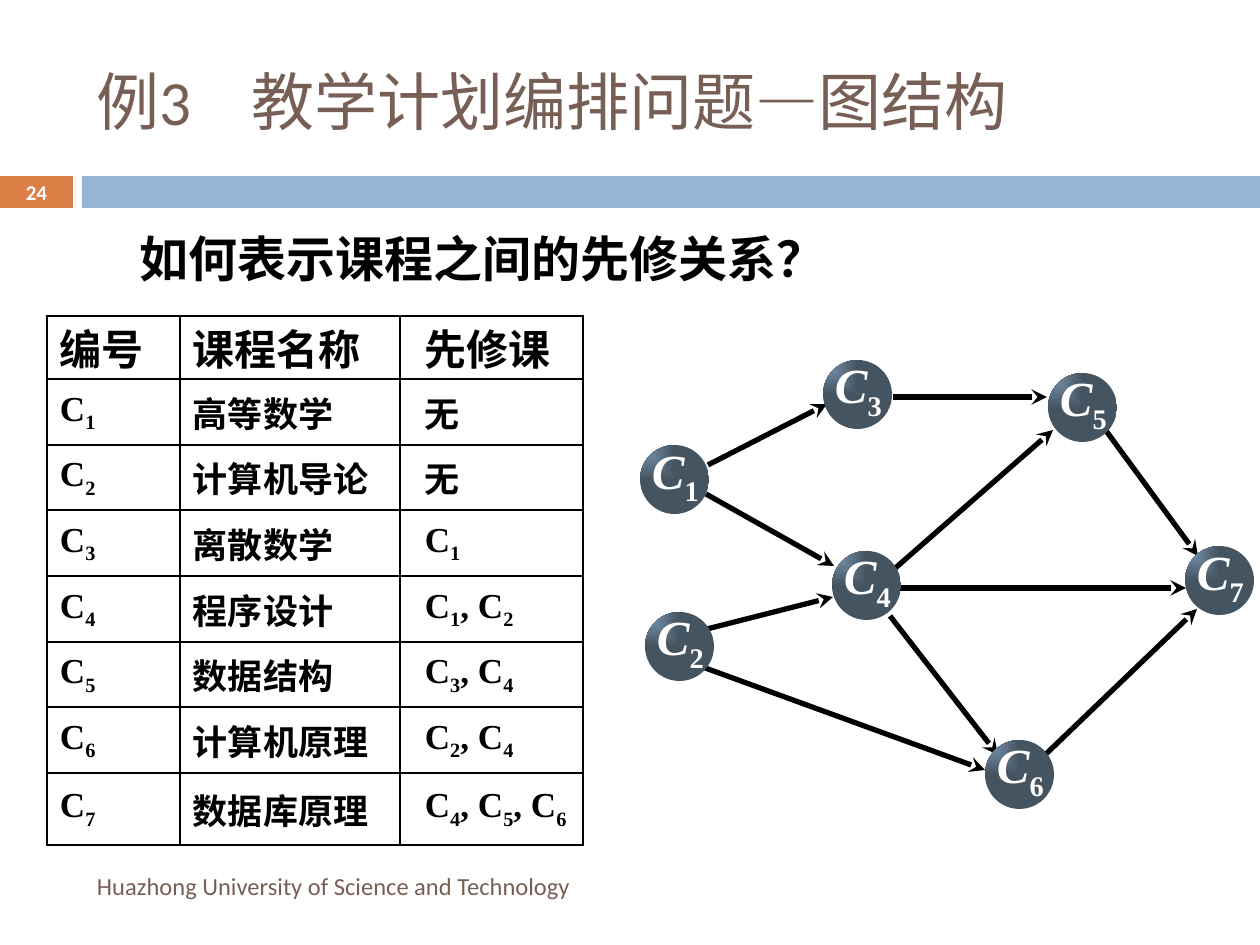
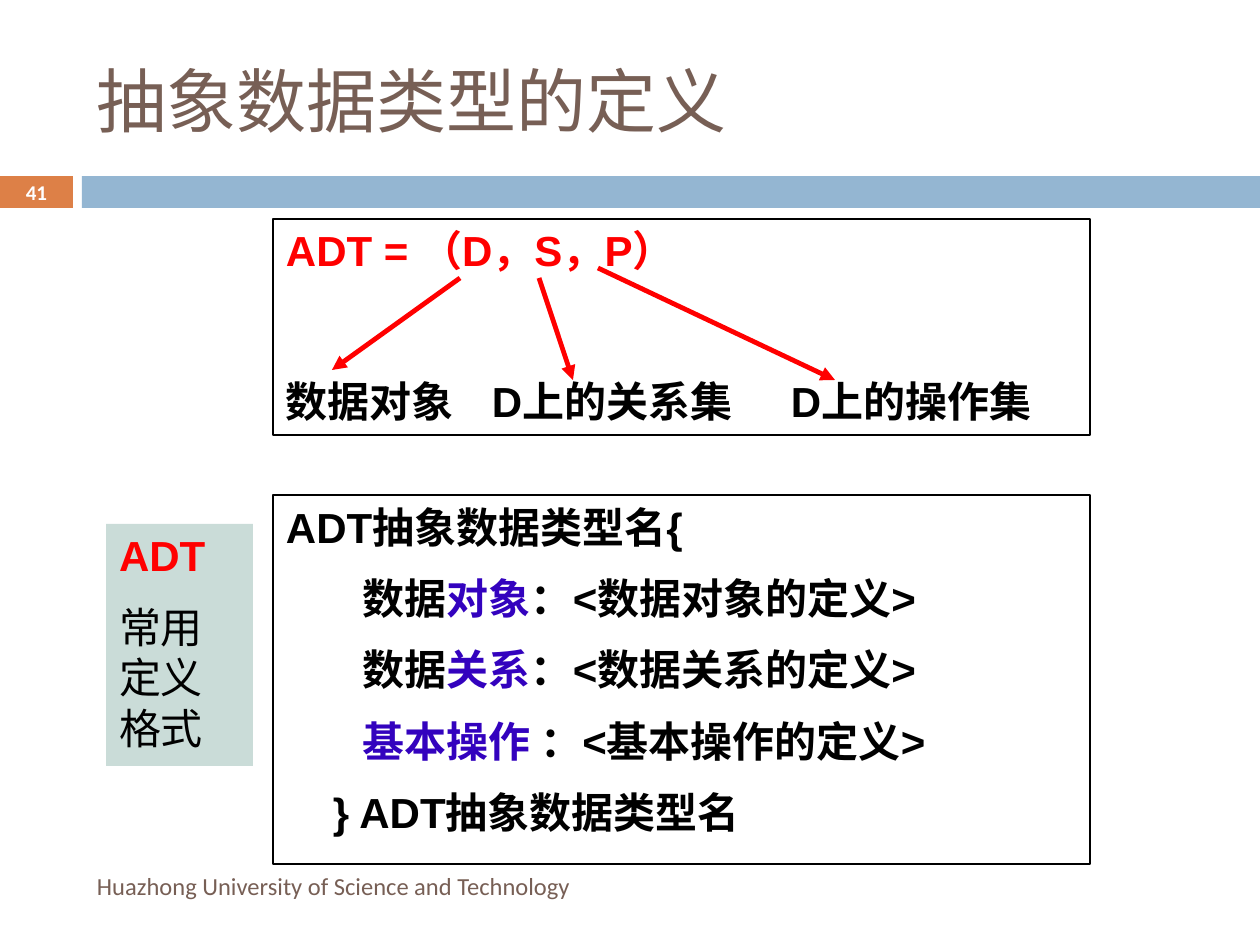
from lxml import etree
from pptx import Presentation
from pptx import util as u
from pptx.dml.color import RGBColor
from pptx.enum import shapes, text
from pptx.oxml.ns import qn

COLORS = {
    "title": "775F55", "orange": "DD8047", "blue": "94B6D2", "black": "000000",
    "white": "FFFFFF", "red": "FF0000", "violet": "3302BE", "mint": "CADCD8",
    "node_light": "7F9DB9", "node_dark": "455461",
}
HEAD, SERIF, SANS = "Calibri", "Times New Roman", "Arial"
FOOTER = "Huazhong University of Science and Technology"
WIDTH, HEIGHT = 1260, 945

# Slide 24: courses and their prerequisites
COURSES = [
    ("编号", "课程名称", "先修课"),
    ("C1", "高等数学", "无"),
    ("C2", "计算机导论", "无"),
    ("C3", "离散数学", "C1"),
    ("C4", "程序设计", "C1, C2"),
    ("C5", "数据结构", "C3, C4"),
    ("C6", "计算机原理", "C2, C4"),
    ("C7", "数据库原理", "C4, C5, C6"),
]
TABLE_AT = (47, 316)
COLUMN_WIDTHS = (133, 220, 183)
COLUMN_INSETS = (13, 13, 25)
ROW_HEIGHTS = (63, 66, 65, 66, 66, 65, 66, 72)

NODE = 69
NODES = {"C1": (640, 445), "C2": (645, 612), "C3": (823, 360), "C4": (832, 551),
         "C5": (1048, 373), "C6": (985, 740), "C7": (1185, 546)}
EDGES = [  # from x, y, to x, y
    (1045, 755, 1197, 609), (1104, 428, 1198, 556), (893, 397, 1047, 397),
    (892, 571, 1053, 430), (890, 616, 998, 755), (896, 588, 1186, 588),
    (708, 465, 827, 404), (697, 665, 985, 770), (707, 629, 833, 597),
    (706, 494, 834, 566),
]

# Slide 41: the abstract data type
TRIPLE = "ADT = （D，S，P）"
TRIPLE_PARTS = "数据对象\tD上的关系集\tD上的操作集"
TRIPLE_ARROWS = [(460, 278, 332, 370), (539, 278, 573, 380), (598, 268, 835, 380)]
KEY = {"color": "violet"}
DEFINITION = [  # indent, runs
    (0, ["ADT抽象数据类型名{"]),
    (77, ["数据", ("对象", KEY), "：<数据对象的定义>"]),
    (77, ["数据", ("关系", KEY), "：<数据关系的定义>"]),
    (77, [("基本操作 ", KEY), "：<基本操作的定义>"]),
    (47, ["} ADT抽象数据类型名"]),
]


def px(n):
    return u.Emu(round(n * 914400 / 126))


def rgb(name):
    return RGBColor.from_string(COLORS[name])


def sub(parent, tag, **attrs):
    return etree.SubElement(parent, qn(tag), {k: str(v) for k, v in attrs.items()})


def course_runs(label, **fmt):
    """Split a label such as 'C1, C2' so that its digits are subscripts."""
    return [(ch, {"base": -25000, "italic": False}) if ch.isdigit() else (ch, fmt)
            for ch in label]


def write(tf, runs, new=False, size=20, font=HEAD, color="black", bold=False,
          italic=False, base=0, align=None, before=0, indent=0, tabs=()):
    """Fill the first paragraph of a frame, or add one, with runs."""
    p = tf.add_paragraph() if new else tf.paragraphs[0]
    p.alignment = align
    if before:
        p.space_before = u.Pt(before)
    pPr = p._p.get_or_add_pPr()
    if indent:
        pPr.set("marL", str(px(indent)))
        pPr.set("indent", "0")
    if tabs:
        stops = sub(pPr, "a:tabLst")
        for pos in tabs:
            sub(stops, "a:tab", pos=px(pos), algn="l")
    common = dict(size=size, font=font, color=color, bold=bold, italic=italic, base=base)
    for part in [runs] if isinstance(runs, str) else runs:
        words, extra = (part, {}) if isinstance(part, str) else part
        fmt = {**common, **extra}
        r = p.add_run()
        r.text = words
        r.font.size, r.font.name = u.Pt(fmt["size"]), fmt["font"]
        r.font.bold, r.font.italic = fmt["bold"], fmt["italic"]
        r.font.color.rgb = rgb(fmt["color"])
        if fmt["base"]:
            r._r.get_or_add_rPr().set("baseline", str(fmt["base"]))


def set_frame(tf, anchor, insets=(13, 6, 13, 6)):
    tf.word_wrap = True
    tf.vertical_anchor = anchor
    tf.margin_left, tf.margin_top, tf.margin_right, tf.margin_bottom = map(px, insets)
    return tf


def add_text(s, at, runs, anchor=text.MSO_ANCHOR.MIDDLE, insets=(13, 6, 13, 6), **fmt):
    sp = s.shapes.add_textbox(*map(px, at))
    write(set_frame(sp.text_frame, anchor, insets), runs, **fmt)


def add_box(s, at, fill=None, line=None, kind=shapes.MSO_SHAPE.RECTANGLE):
    sp = s.shapes.add_shape(kind, *map(px, at))
    sp.shadow.inherit = False
    if fill:
        sp.fill.solid()
        sp.fill.fore_color.rgb = rgb(fill)
    else:
        sp.fill.background()
    if line:
        sp.line.color.rgb = rgb(line)
        sp.line.width = u.Pt(0.75)
    else:
        sp.line.fill.background()
    set_frame(sp.text_frame, text.MSO_ANCHOR.TOP)
    return sp


def add_arrow(s, ends, color, width, head):
    c = s.shapes.add_connector(shapes.MSO_CONNECTOR.STRAIGHT, *map(px, ends))
    c.line.color.rgb = rgb(color)
    c.line.width = u.Pt(width)
    sub(c.line._get_or_add_ln(), "a:tailEnd", type=head)
    sub(c._element.spPr, "a:effectLst")


def add_base(prs, title, number, size, tabs=()):
    """Add a slide with its title, bands, page number and footer."""
    s = prs.slides.add_slide(prs.slide_layouts[6])
    badge = add_box(s, (0, 176, 73, 32), "orange")
    write(set_frame(badge.text_frame, text.MSO_ANCHOR.MIDDLE, (0, 0, 0, 0)), number,
          size=12, color="white", bold=True, align=text.PP_ALIGN.CENTER)
    add_box(s, (82, 176, WIDTH - 82, 32), "blue")
    add_text(s, (84, 32, 1124, 136), title, size=size, color="title", tabs=tabs)
    add_text(s, (84, 861, 747, 50), FOOTER, size=14, color="title")
    return s


def set_borders(cell):
    tcPr = cell._tc.get_or_add_tcPr()
    for i, side in enumerate(("L", "R", "T", "B")):
        ln = etree.Element(qn(f"a:ln{side}"), w=str(u.Pt(1)))
        sub(sub(ln, "a:solidFill"), "a:srgbClr", val=COLORS["black"])
        tcPr.insert(i, ln)


def add_course_table(s):
    size = (sum(COLUMN_WIDTHS), sum(ROW_HEIGHTS))
    table = s.shapes.add_table(len(COURSES), len(COLUMN_WIDTHS),
                               *map(px, TABLE_AT + size)).table
    table.first_row = table.horz_banding = False
    for column, width in zip(table.columns, COLUMN_WIDTHS):
        column.width = px(width)
    for i, (row, height) in enumerate(zip(COURSES, ROW_HEIGHTS)):
        table.rows[i].height = px(height)
        for j, label in enumerate(row):
            cell = table.cell(i, j)
            cell.fill.background()
            cell.vertical_anchor = text.MSO_ANCHOR.MIDDLE
            cell.margin_left = px(COLUMN_INSETS[j])
            cell.margin_right = cell.margin_top = cell.margin_bottom = 0
            set_borders(cell)
            write(cell.text_frame, course_runs(label) if "C" in label else label,
                  size=20 if i else 24, font=SERIF, bold=True)


def add_node(s, label, x, y):
    sp = add_box(s, (x, y, NODE, NODE), kind=shapes.MSO_SHAPE.OVAL)
    sp.fill.gradient()
    for stop, color in zip(sp.fill.gradient_stops, ("node_light", "node_dark")):
        stop.color.rgb = rgb(color)
    grad = sp._element.spPr.find(qn("a:gradFill"))
    grad.remove(grad.find(qn("a:lin")))
    shade = sub(grad, "a:path", path="rect")
    sub(shade, "a:fillToRect", r=100000, b=100000)
    add_text(s, (x + 10, y - 7, 64, 82), course_runs(label, italic=True),
             anchor=text.MSO_ANCHOR.TOP, insets=(2, 2, 0, 1),
             size=28, font=SERIF, color="white", bold=True)


def build_course_slide(prs):
    s = add_base(prs, "例3\t教学计划编排问题—图结构", "24", 36, tabs=(155,))
    add_course_table(s)
    for ends in EDGES:
        add_arrow(s, ends, "black", 3, "stealth")
    for label, (x, y) in NODES.items():
        add_node(s, label, x, y)
    add_text(s, (127, 223, 987, 72), "如何表示课程之间的先修关系？",
             anchor=text.MSO_ANCHOR.TOP, size=28, font=SERIF, bold=True)


def build_adt_slide(prs):
    s = add_base(prs, "抽象数据类型的定义", "41", 40)
    fmt = dict(size=24, font=SANS, bold=True)

    tf = add_box(s, (273, 219, 817, 216), line="black").text_frame
    write(tf, TRIPLE, color="red", **fmt)
    write(tf, TRIPLE_PARTS, new=True, before=57, tabs=(206, 505), **fmt)

    tf = add_box(s, (273, 495, 817, 369), line="black").text_frame
    for i, (indent, runs) in enumerate(DEFINITION):
        write(tf, runs, new=i > 0, before=12 if i else 0, indent=indent, **fmt)

    tf = add_box(s, (106, 524, 147, 242), "mint").text_frame
    write(tf, "ADT", color="red", **fmt)
    write(tf, "常用定义格式", new=True, before=12, size=24, font=SANS)

    for ends in TRIPLE_ARROWS:
        add_arrow(s, ends, "red", 2.75, "triangle")


def main():
    prs = Presentation()
    prs.slide_width, prs.slide_height = px(WIDTH), px(HEIGHT)
    build_course_slide(prs)
    build_adt_slide(prs)
    prs.save("out.pptx")


if __name__ == "__main__":
    main()
